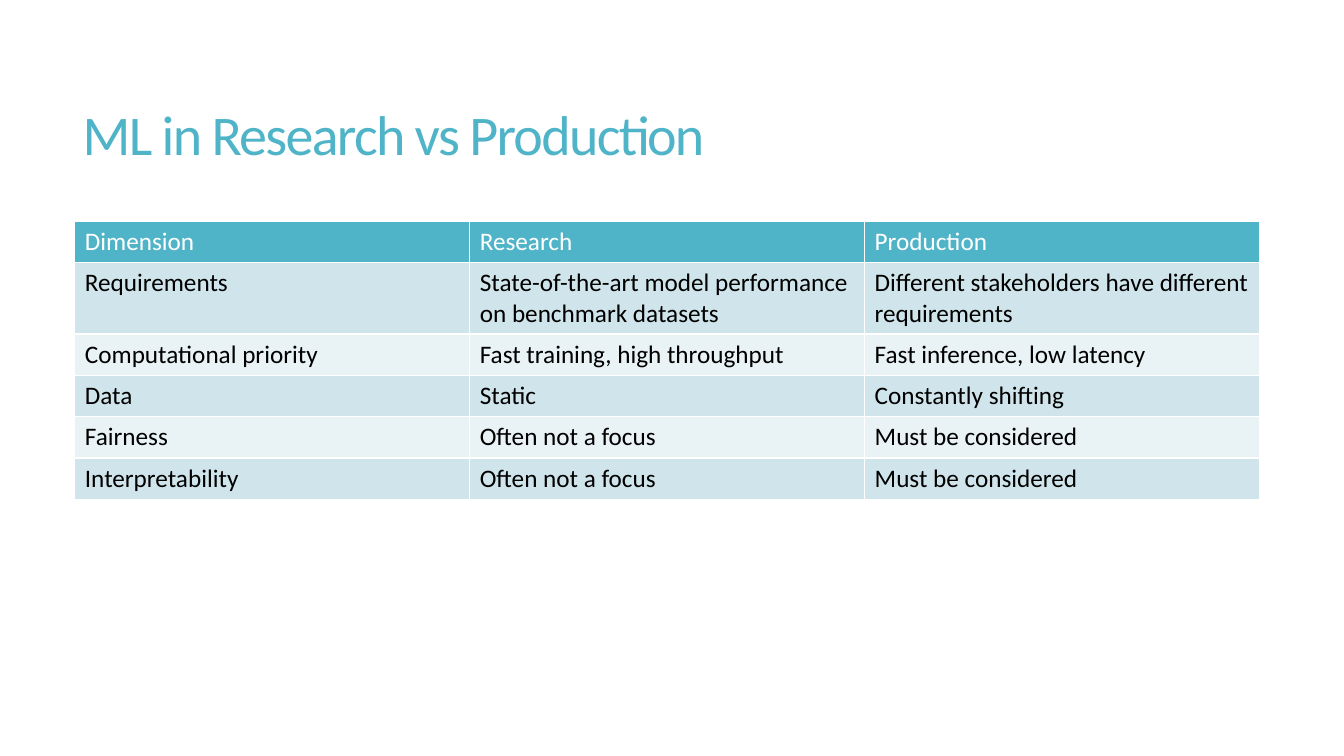
from pptx import Presentation
from pptx import util as u
from pptx.dml import color
from pptx.enum import text

TITLE = "ML in Research vs Production"
COMPARISON = [
    ("Dimension", "Research", "Production"),
    ("Requirements", "State-of-the-art model performance on benchmark datasets",
     "Different stakeholders have different requirements"),
    ("Computational priority", "Fast training, high throughput", "Fast inference, low latency"),
    ("Data", "Static", "Constantly shifting"),
    ("Fairness", "Often not a focus", "Must be considered"),
    ("Interpretability", "Often not a focus", "Must be considered"),
]


def rgb(value):
    return color.RGBColor.from_string(value)


def write(frame, words, size=18, ink="000000", spacing=None, line=None):
    paragraph = frame.paragraphs[0]
    paragraph.alignment = text.PP_ALIGN.LEFT
    paragraph.line_spacing = line
    run = paragraph.add_run()
    run.text = words
    run.font.name = "Calibri"
    run.font.size = u.Pt(size)
    run.font.bold = False
    run.font.color.rgb = rgb(ink)
    if spacing is not None:
        run.font._element.set("spc", str(round(spacing * 100)))


class Deck:
    """Style and current slide, with lengths in inches on a 13.33 by 7.5 slide."""

    accent = "50B4C8"
    bands = ("D0E5EB", "E9F2F5")
    width, height = 13.33, 7.5

    def __init__(self):
        self.show = Presentation()
        self.show.slide_width = u.Inches(self.width)
        self.show.slide_height = u.Inches(self.height)
        self.slide = self.show.slides.add_slide(self.show.slide_layouts[5])

    def area(self, left, top, width, height):
        shares = (left * self.width, top * self.height, width * self.width, height * self.height)
        return [u.Inches(length) for length in shares]

    def title(self, words, *shares):
        heading = self.slide.shapes.title
        heading.left, heading.top, heading.width, heading.height = self.area(*shares)
        frame = heading.text_frame
        frame.auto_size = text.MSO_AUTO_SIZE.NONE
        frame.vertical_anchor = text.MSO_ANCHOR.MIDDLE
        write(frame, words, size=40, ink=self.accent, spacing=-1.2, line=0.85)

    def table(self, rows, row_heights, *shares):
        grid = self.slide.shapes.add_table(len(rows), len(rows[0]), *self.area(*shares)).table
        for index, (entries, height) in enumerate(zip(rows, row_heights)):
            grid.rows[index].height = u.Inches(height)
            header = index == 0
            for column, words in enumerate(entries):
                cell = grid.cell(index, column)
                cell.fill.solid()
                cell.fill.fore_color.rgb = rgb(self.accent if header else self.bands[(index - 1) % 2])
                write(cell.text_frame, words, ink="FFFFFF" if header else "000000")


def main():
    deck = Deck()
    deck.title(TITLE, 0.054, 0.073, 0.884, 0.22)
    heights = [0.7 if row[0] == "Requirements" else 0.41 for row in COMPARISON]
    deck.table(COMPARISON, heights, 0.0557, 0.2925, 0.8815, sum(heights) / deck.height)
    deck.show.save("out.pptx")


if __name__ == "__main__":
    main()
